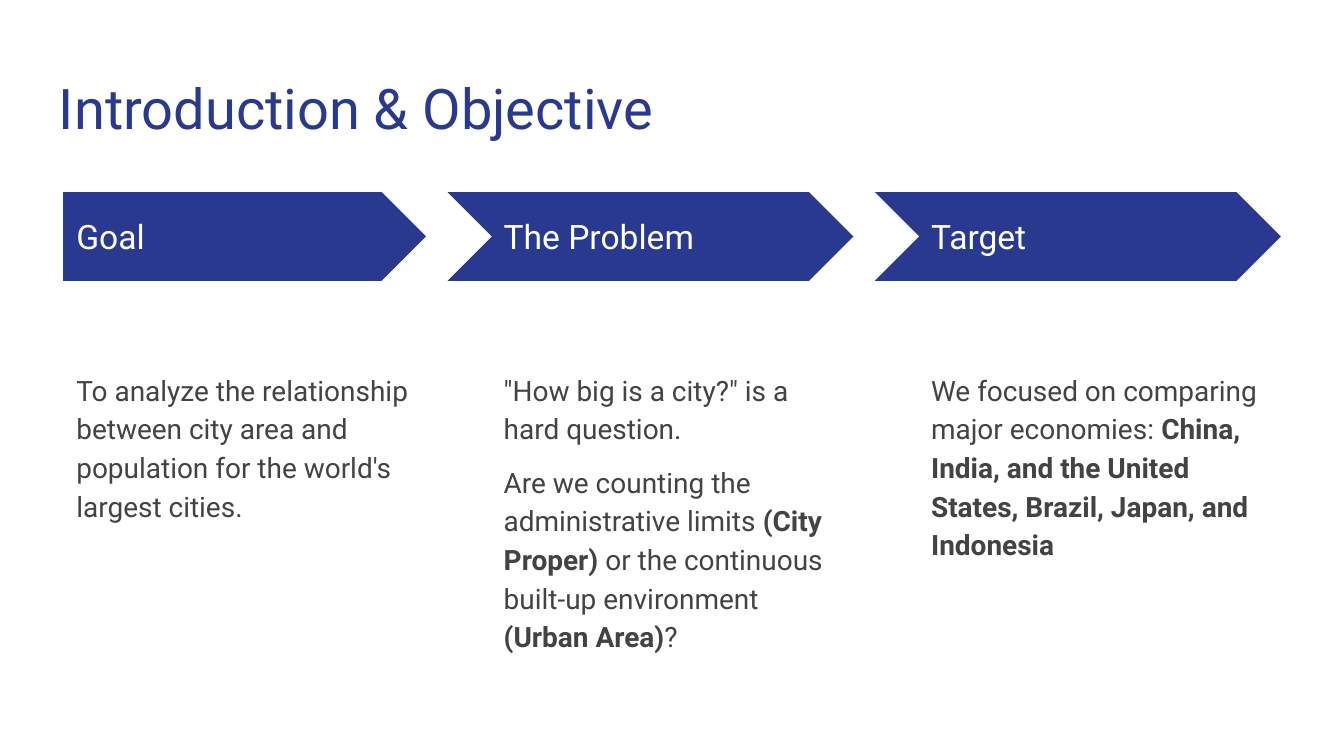
from pptx import Presentation
from pptx.dml.color import RGBColor
from pptx.enum.shapes import MSO_SHAPE as SHAPE
from pptx.enum.text import MSO_ANCHOR as ANCHOR
from pptx.util import Inches, Pt

COLORS = {"navy": "2A3990", "white": "FFFFFF", "body": "434343"}
LEFT, PITCH, NOTCH = 0.47, 3.18, 0.32
COLUMN_W, BODY_TOP_INSET = 2.7, 0.48

COLUMNS = [
    ("Goal", [
        [("To analyze the relationship between city area and population "
          "for the world's largest cities.", False)],
    ]),
    ("The Problem", [
        [('"How big is a city?" is a hard question.', False)],
        [("Are we counting the administrative limits ", False),
         ("(City Proper)", True),
         (" or the continuous built-up environment ", False),
         ("(Urban Area)", True),
         ("?", False)],
    ]),
    ("Target", [
        [("We focused on comparing major economies: ", False),
         ("China, India, and the United States, Brazil, Japan, and Indonesia", True)],
    ]),
]


class Deck:
    font = "Roboto"

    def __init__(self, width):
        self.prs = Presentation()
        self.prs.slide_width = Inches(width)
        self.prs.slide_height = Inches(width * 9 / 16)
        self.s = self.prs.slides.add_slide(self.prs.slide_layouts[6])

    def color(self, name):
        return RGBColor.from_string(COLORS[name])

    def banner(self, kind, x, y, w, h):
        sp = self.s.shapes.add_shape(kind, Inches(x), Inches(y), Inches(w), Inches(h))
        sp.adjustments[0] = 0.5
        sp.shadow.inherit = False
        sp.fill.solid()
        sp.fill.fore_color.rgb = self.color("navy")
        sp.line.fill.background()

    def text(self, x, y, w, h, paragraphs, size, color,
             anchor=ANCHOR.TOP, top_inset=0.1, line=1.0, gap=0):
        sp = self.s.shapes.add_textbox(Inches(x), Inches(y), Inches(w), Inches(h))
        tf = sp.text_frame
        tf.word_wrap = True
        tf.vertical_anchor = anchor
        tf.margin_left = tf.margin_right = tf.margin_bottom = Inches(0.1)
        tf.margin_top = Inches(top_inset)
        for i, runs in enumerate(paragraphs):
            p = tf.add_paragraph() if i else tf.paragraphs[0]
            p.line_spacing = line
            p.space_before = Pt(gap if i else 0)
            for words, bold in runs:
                r = p.add_run()
                r.text = words
                r.font.name = self.font
                r.font.size = Pt(size)
                r.font.bold = bold
                r.font.color.rgb = self.color(color)


def main():
    deck = Deck(10)
    deck.text(0.34, 0.45, 9.32, 0.66, [[("Introduction & Objective", False)]], 30, "navy")
    for i, (heading, body) in enumerate(COLUMNS):
        x = LEFT + i * PITCH
        kind, notch = (SHAPE.CHEVRON, NOTCH) if i else (SHAPE.PENTAGON, 0)
        deck.banner(kind, x - notch, 1.43, COLUMN_W + notch, 0.66)
        deck.text(x, 1.59, 2.47, 0.34, [[(heading, False)]], 18, "white", anchor=ANCHOR.MIDDLE)
        deck.text(x, 2.26, COLUMN_W, 2.9, body, 15, "body",
                  top_inset=BODY_TOP_INSET, line=1.15, gap=8)
    deck.prs.save("out.pptx")


if __name__ == "__main__":
    main()
